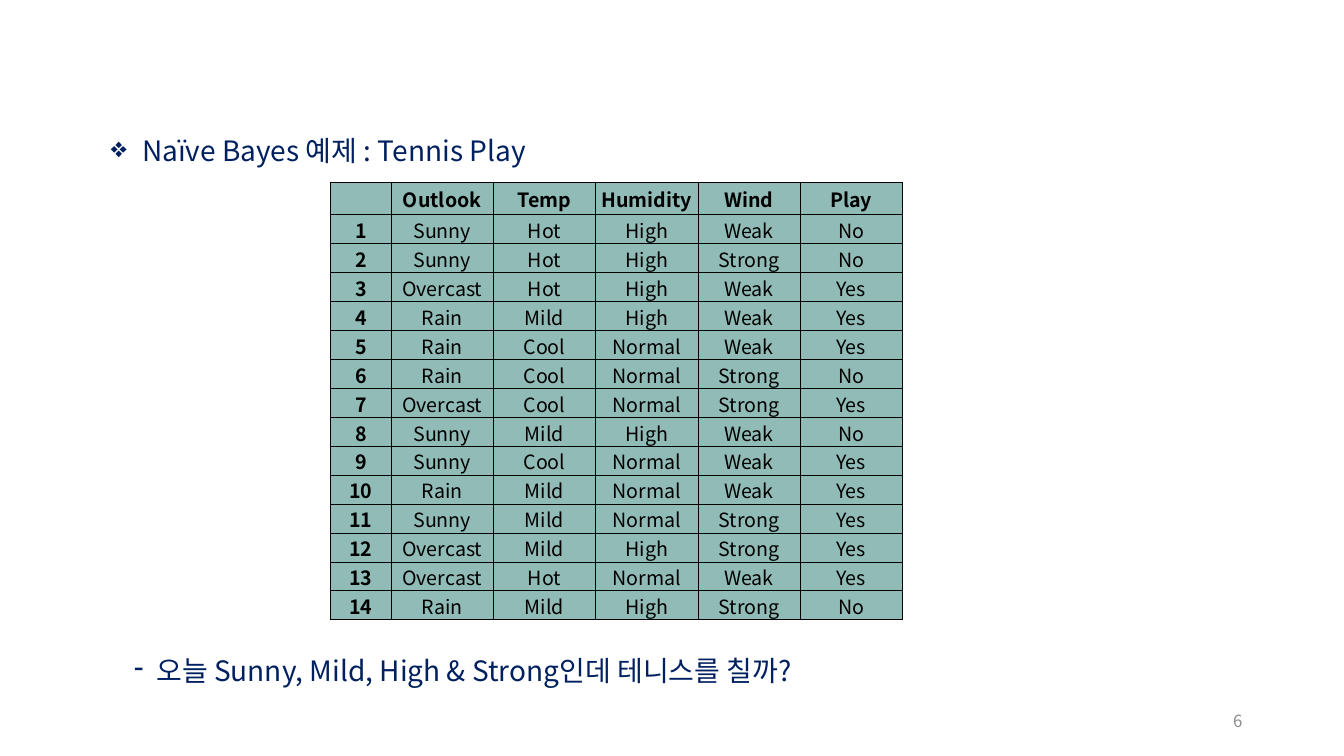
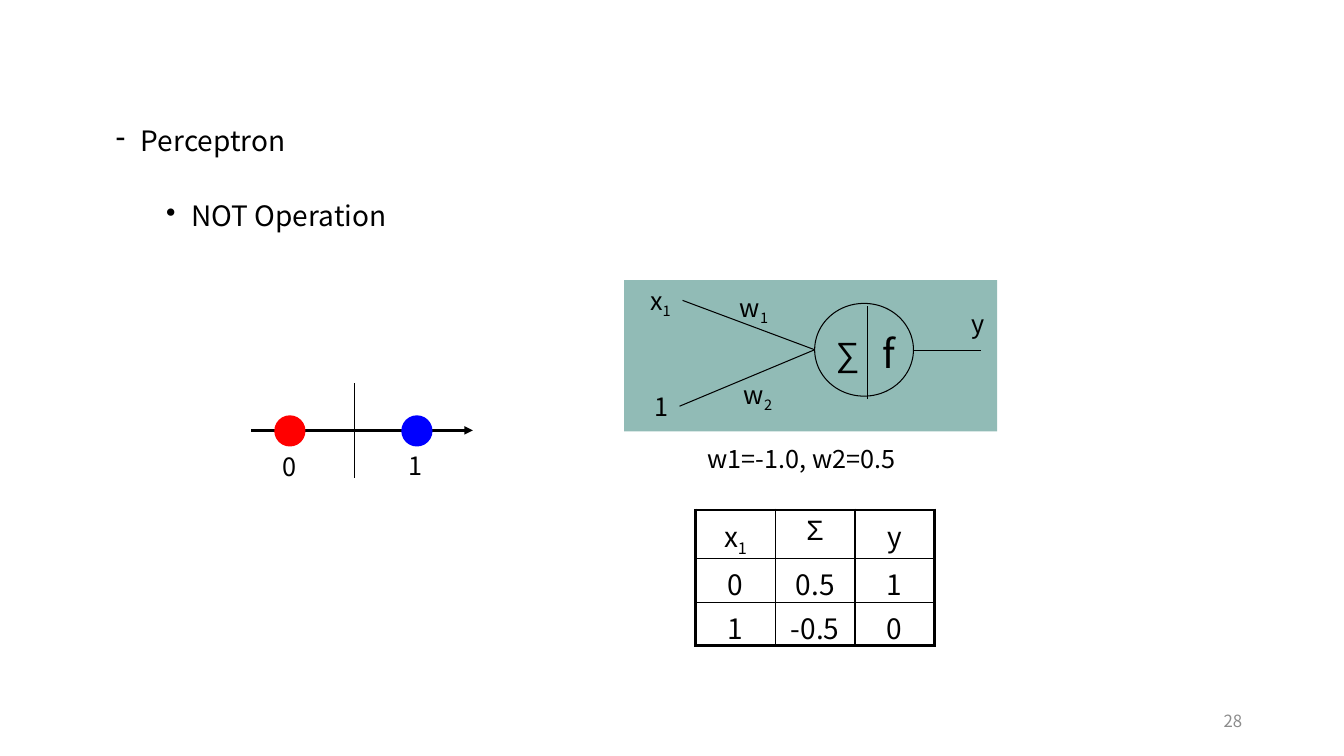
from lxml.etree import SubElement
from pptx import Presentation
from pptx.dml.color import RGBColor
from pptx.enum.shapes import MSO_CONNECTOR, MSO_SHAPE
from pptx.enum.text import MSO_ANCHOR, MSO_AUTO_SIZE, PP_ALIGN
from pptx.oxml import parse_xml
from pptx.oxml.ns import nsdecls, qn
from pptx.util import Inches, Pt

NAVY = RGBColor(0x00, 0x20, 0x60)
BLACK = RGBColor(0x00, 0x00, 0x00)
GRAY = RGBColor(0x8C, 0x8C, 0x8C)
TEAL = RGBColor(0x91, 0xBB, 0xB6)
RED = RGBColor(0xFF, 0x00, 0x00)
BLUE = RGBColor(0x00, 0x00, 0xFF)
FONT = "Noto Sans CJK KR"
SYMBOL_FONT = "Arial"

TENNIS_DAYS = """Sunny Hot High Weak No
Sunny Hot High Strong No
Overcast Hot High Weak Yes
Rain Mild High Weak Yes
Rain Cool Normal Weak Yes
Rain Cool Normal Strong No
Overcast Cool Normal Strong Yes
Sunny Mild High Weak No
Sunny Cool Normal Weak Yes
Rain Mild Normal Weak Yes
Sunny Mild Normal Strong Yes
Overcast Mild High Strong Yes
Overcast Hot Normal Weak Yes
Rain Mild High Strong No"""


def write_text(paragraph, text, size=18, color=BLACK, font=FONT, bold=False,
               align=PP_ALIGN.LEFT, bullet=None, margin=0, hanging=0,
               level=0, line_spacing=None, space_before=None):
    properties = paragraph._p.get_or_add_pPr()
    if bullet:
        properties.set("marL", str(Inches(margin)))
        properties.set("indent", str(-Inches(hanging)))
        SubElement(properties, qn("a:buChar")).set("char", bullet)
    paragraph.level = level
    paragraph.alignment = align
    paragraph.line_spacing = line_spacing
    if space_before:
        paragraph.space_before = Pt(space_before)
    for position, part in enumerate(text.split("_")):
        run = paragraph.add_run()
        run.text = part
        run.font.size = Pt(size)
        run.font.bold = bold
        run.font.color.rgb = color
        run.font.name = font
        run_properties = run._r.get_or_add_rPr()
        SubElement(run_properties, qn("a:ea")).set("typeface", font)
        if position:
            run_properties.set("baseline", "-25000")


class Deck:
    def __init__(self):
        self.presentation = Presentation()
        self.presentation.slide_width = Inches(13.33)
        self.presentation.slide_height = Inches(7.5)
        self.slide = None
        self.shapes = None

    def add_slide(self, number):
        self.slide = self.presentation.slides.add_slide(
            self.presentation.slide_layouts[6])
        self.shapes = self.slide.shapes
        frame = self.text_box(9.42, 6.95, 3, 0.4)
        frame.vertical_anchor = MSO_ANCHOR.MIDDLE
        write_text(frame.paragraphs[0], number, size=12, color=GRAY,
                   align=PP_ALIGN.RIGHT)

    def start_group(self):
        self.shapes = self.slide.shapes.add_group_shape().shapes

    def end_group(self):
        self.shapes = self.slide.shapes

    def text_box(self, left, top, width, height):
        box = self.shapes.add_textbox(
            Inches(left), Inches(top), Inches(width), Inches(height))
        box.text_frame.word_wrap = True
        return box.text_frame

    def heading(self, top, height, text, **bullet_format):
        frame = self.text_box(1.1, top, 11.23, height)
        frame.margin_left = frame.margin_right = 0
        frame.margin_top = frame.margin_bottom = 0
        write_text(frame.paragraphs[0], text, size=20, color=NAVY,
                   align=PP_ALIGN.JUSTIFY, line_spacing=1.5, **bullet_format)

    def label(self, left, top, width, text, height=0.4, **text_format):
        frame = self.text_box(left, top, width, height)
        frame.word_wrap = False
        frame.auto_size = MSO_AUTO_SIZE.SHAPE_TO_FIT_TEXT
        write_text(frame.paragraphs[0], text, **text_format)

    def shape(self, kind, left, top, width, height, fill, outlined=False):
        shape = self.shapes.add_shape(
            kind, Inches(left), Inches(top), Inches(width), Inches(height))
        shape.shadow.inherit = False
        shape.fill.solid()
        shape.fill.fore_color.rgb = fill
        if outlined:
            shape.line.color.rgb = BLACK
            shape.line.width = Pt(0.75)
        else:
            shape.line.fill.background()

    def line(self, start, end, width=0.75, arrow=False):
        connector = self.shapes.add_connector(
            MSO_CONNECTOR.STRAIGHT, *map(Inches, start + end))
        connector.line.color.rgb = BLACK
        connector.line.width = Pt(width)
        if arrow:
            SubElement(connector.line._get_or_add_ln(),
                       qn("a:tailEnd")).set("type", "triangle")
        SubElement(connector._element.spPr, qn("a:effectLst"))

    def table(self, left, top, columns, heights, rows, margins, style_cell,
              fill=None, inner=1, outer=1):
        table = self.shapes.add_table(
            len(rows), len(columns), Inches(left), Inches(top),
            Inches(sum(columns)), Inches(sum(heights))).table
        table.first_row = table.horz_banding = False
        for column, width in zip(table.columns, columns):
            column.width = Inches(width)
        last_row, last_column = len(rows) - 1, len(columns) - 1
        for i, values in enumerate(rows):
            table.rows[i].height = Inches(heights[i])
            for j, text in enumerate(values):
                cell = table.cell(i, j)
                (cell.margin_left, cell.margin_top, cell.margin_right,
                 cell.margin_bottom) = map(Inches, margins)
                if fill is None:
                    cell.fill.background()
                else:
                    cell.fill.solid()
                    cell.fill.fore_color.rgb = fill
                on_edge = {"L": j == 0, "R": j == last_column,
                           "T": i == 0, "B": i == last_row}
                self.borders(cell, {side: outer if edge else inner
                                    for side, edge in on_edge.items()})
                style_cell(cell, text, i, j)

    def borders(self, cell, widths):
        properties = cell._tc.get_or_add_tcPr()
        for position, (side, width) in enumerate(widths.items()):
            properties.insert(position, parse_xml(
                f'<a:ln{side} {nsdecls("a")} w="{Pt(width)}"><a:solidFill>'
                f'<a:srgbClr val="{BLACK}"/></a:solidFill></a:ln{side}>'))


def style_tennis_cell(cell, text, row, column):
    cell.vertical_anchor = MSO_ANCHOR.MIDDLE
    write_text(cell.text_frame.paragraphs[0], text, size=14,
               bold=row == 0 or column == 0, align=PP_ALIGN.CENTER)


def style_truth_cell(cell, text, row, column):
    write_text(cell.text_frame.paragraphs[0], text, size=20,
               font=SYMBOL_FONT if text == "Σ" else FONT,
               align=PP_ALIGN.CENTER)


def build_tennis_slide(deck):
    deck.add_slide("6")
    deck.heading(1.16, 0.94, "Naïve Bayes 예제 : Tennis Play",
                 bullet="❖", margin=0.31, hanging=0.31)
    days = [[str(number), *day.split()]
            for number, day in enumerate(TENNIS_DAYS.splitlines(), 1)]
    header = ["", "Outlook", "Temp", "Humidity", "Wind", "Play"]
    deck.table(3.28, 1.81, [0.6] + [5.07 / 5] * 5,
               [0.32] + [4.02 / len(days)] * len(days), [header] + days,
               (0.01, 0.01, 0.01, 0), style_tennis_cell,
               fill=TEAL, inner=0.5, outer=0.5)
    deck.heading(6.32, 0.44,
                 "오늘 Sunny, Mild, High & Strong인데 테니스를 칠까?",
                 bullet="-", margin=0.45, hanging=0.22)


def draw_neuron(deck):
    deck.start_group()
    deck.shape(MSO_SHAPE.RECTANGLE, 6.19, 2.78, 3.7, 1.5, TEAL)
    deck.shape(MSO_SHAPE.OVAL, 8.08, 3.01, 0.98, 0.92, TEAL, outlined=True)
    for start, end in [((6.77, 2.98), (8.08, 3.47)),
                       ((6.74, 4.03), (8.08, 3.47)),
                       ((9.06, 3.48), (9.73, 3.48)),
                       ((8.6, 3.04), (8.6, 3.96))]:
        deck.line(start, end)
    for left, top, width, text in [(6.35, 2.78, 0.42, "x_1"),
                                   (6.39, 3.83, 0.35, "1"),
                                   (7.24, 2.85, 0.48, "w_1"),
                                   (7.28, 3.71, 0.48, "w_2"),
                                   (9.54, 3.01, 0.33, "y")]:
        deck.label(left, top, width, text)
    deck.label(8.19, 3.25, 0.44, "∑", height=0.5, size=24, font=SYMBOL_FONT)
    deck.label(8.65, 3.22, 0.34, "f", height=0.57, size=28)
    deck.end_group()


def draw_number_line(deck):
    deck.line((2.49, 4.27), (4.69, 4.27), width=2, arrow=True)
    deck.line((3.52, 3.8), (3.52, 4.74))
    for left, color in [(2.72, RED), (3.98, BLUE)]:
        deck.shape(MSO_SHAPE.OVAL, left, 4.12, 0.31, 0.31, color)
    deck.label(2.7, 4.43, 0.35, "0")
    deck.label(3.95, 4.42, 0.35, "1")


def build_perceptron_slide(deck):
    deck.add_slide("28")
    frame = deck.text_box(1.05, 1.21, 11.47, 5.15)
    write_text(frame.paragraphs[0], "Perceptron", size=20, bullet="-",
               margin=0.25, hanging=0.25, line_spacing=0.9)
    write_text(frame.add_paragraph(), "NOT Operation", size=20, bullet="•",
               margin=0.75, hanging=0.25, level=1, line_spacing=0.9,
               space_before=32.5)
    deck.table(6.9, 5.06, [0.79] * 3, [0.43] * 3,
               [["x_1", "Σ", "y"], ["0", "0.5", "1"], ["1", "-0.5", "0"]],
               (0.1, 0.05, 0.1, 0.05), style_truth_cell, outer=2.25)
    draw_neuron(deck)
    deck.label(6.92, 4.35, 2.26, "w1=-1.0, w2=0.5")
    draw_number_line(deck)


def main():
    deck = Deck()
    build_tennis_slide(deck)
    build_perceptron_slide(deck)
    deck.presentation.save("out.pptx")


if __name__ == "__main__":
    main()
